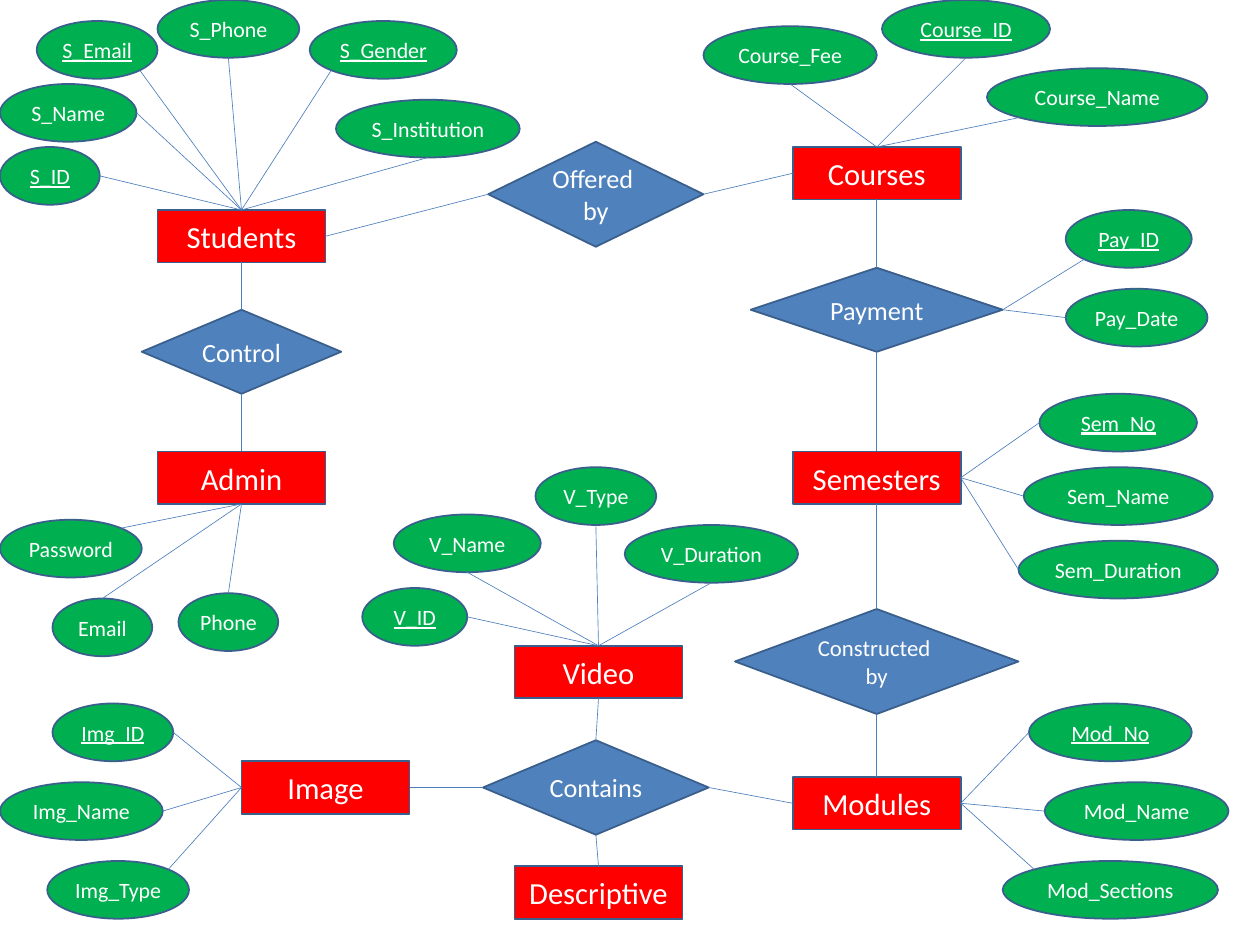
"""Draw an entity-relationship diagram of a course system on a 240 by 180 grid."""
from dataclasses import dataclass
from math import sqrt

from lxml import etree
from pptx import Presentation, util as u
from pptx.dml.color import RGBColor
from pptx.enum import shapes, text
from pptx.oxml.ns import qn


@dataclass(frozen=True)
class Theme:
    """Colours, type sizes and widths of the diagram."""
    font: str = "Calibri"
    ink: str = "FFFFFF"
    edge: str = "3A5F8C"
    link: str = "4B7EBC"
    table: str = "FF0000"
    bond: str = "4F81BD"
    trait: str = "00B050"
    big: int = 35
    mid: int = 30
    snug: int = 26
    small: int = 25
    rim: float = 2
    thin: float = 0.75


THEME = Theme()
KIND = shapes.MSO_SHAPE
CELL = u.Inches(20) // 240
SIDES = "tlbr"
STEPS = {"t": (0, -1), "l": (-1, 0), "b": (0, 1), "r": (1, 0)}
WIDE = {"margin_left": u.Inches(0.16), "margin_right": u.Inches(0.16),
        "margin_top": u.Inches(0.08), "margin_bottom": u.Inches(0.08)}

TABLES = {
    "Students": (30, 40), "Courses": (151, 28), "Admin": (30, 86),
    "Semesters": (151, 86), "Video": (98, 123), "Image": (46, 145),
    "Modules": (151, 148), "Descriptive": (98, 165),
}
BONDS = {
    "Offered \nby": (93, 27, 41, 20, THEME.mid),
    "Payment": (143, 51, 48, 16, THEME.mid),
    "Control": (27, 59, 38, 16, THEME.mid),
    "Constructed \nby": (140, 116, 54, 20, THEME.snug),
    "Contains": (92, 141, 43, 18, THEME.mid),
}
LINKS = [
    ("Students", "r", "Offered \nby", "l"), ("Offered \nby", "r", "Courses", "l"),
    ("Students", "b", "Control", "t"), ("Control", "b", "Admin", "t"),
    ("Courses", "b", "Payment", "t"), ("Payment", "b", "Semesters", "t"),
    ("Semesters", "b", "Constructed \nby", "t"),
    ("Constructed \nby", "b", "Modules", "t"),
    ("Modules", "l", "Contains", "r"), ("Contains", "t", "Video", "b"),
    ("Contains", "l", "Image", "r"), ("Contains", "b", "Descriptive", "t"),
]
KEYS = {"S_ID", "S_Email", "S_Gender", "Course_ID", "Pay_ID", "Sem_No",
        "Mod_No", "V_ID", "Img_ID"}
TRAITS = {
    ("Students", "t"): [
        ("S_ID", 0, 28, 19, "r"), ("S_Name", 0, 16, 26, "r"),
        ("S_Email", 7, 4, 23, "br"), ("S_Phone", 30, 0, 27, "b"),
        ("S_Gender", 59, 4, 28, "bl"), ("S_Institution", 64, 19, 35, "b")],
    ("Courses", "t"): [
        ("Course_Fee", 134, 5, 33, "b"), ("Course_ID", 168, 0, 32, "b"),
        ("Course_Name", 188, 13, 42, "bl")],
    ("Payment", "r"): [
        ("Pay_ID", 203, 40, 24, "bl"), ("Pay_Date", 203, 55, 27, "l")],
    ("Semesters", "r"): [
        ("Sem_No", 198, 75, 30, "l"), ("Sem_Name", 195, 89, 36, "l"),
        ("Sem_Duration", 194, 103, 38, "l")],
    ("Modules", "r"): [
        ("Mod_No", 196, 134, 31, "l"), ("Mod_Name", 199, 149, 35, "l"),
        ("Mod_Sections", 191, 164, 41, "tl")],
    ("Video", "t"): [
        ("V_ID", 69, 112, 20, "r"), ("V_Name", 75, 98, 28, "b"),
        ("V_Type", 102, 89, 23, "b"), ("V_Duration", 119, 100, 33, "b")],
    ("Image", "l"): [
        ("Img_ID", 10, 134, 23, "r"), ("Img_Name", 0, 149, 31, "r"),
        ("Img_Type", 9, 164, 27, "tr")],
    ("Admin", "b"): [
        ("Password", 0, 99, 27, "tr"), ("Email", 10, 114, 19, "t"),
        ("Phone", 34, 113, 19, "t")],
}


def put(item, values):
    """Set each named value on an item."""
    for name, value in values.items():
        setattr(item, name, value)


def stroke(line, tone, width):
    """Colour and size a line."""
    line.color.rgb = RGBColor.from_string(tone)
    line.width = u.Pt(width)


def node(slide, kind, box, label, fill, size, frame=None, key=False):
    """Add a labelled shape to a grid box."""
    shape = slide.shapes.add_shape(kind, *(CELL * n for n in box))
    shape.shadow.inherit = False
    shape.fill.solid()
    shape.fill.fore_color.rgb = RGBColor.from_string(fill)
    stroke(shape.line, THEME.edge, THEME.rim)
    body = shape.text_frame
    put(body, {"text": label, "word_wrap": True,
               "vertical_anchor": text.MSO_ANCHOR.MIDDLE, **(frame or {})})
    for para in body.paragraphs:
        para.alignment = text.PP_ALIGN.CENTER
        for run in para.runs:
            put(run.font, {"name": THEME.font, "size": u.Pt(size)})
            run.font.color.rgb = RGBColor.from_string(THEME.ink)
            if key:
                run.font.underline = True
    return shape


def wire(slide, owner, side, end=(0, 0)):
    """Add a line from a side of its owner to a point."""
    line = slide.shapes.add_connector(shapes.MSO_CONNECTOR.STRAIGHT, 0, 0, *end)
    line.begin_connect(owner, SIDES.index(side))
    stroke(line.line, THEME.link, THEME.thin)
    etree.SubElement(line._element.spPr, qn("a:effectLst"))
    return line


def rim(oval, site):
    """Find the point of an oval that faces a side or corner."""
    across, down = (sum(axis) for axis in zip(*(STEPS[s] for s in site)))
    reach = 2 * sqrt(len(site))
    return (round(oval.left + oval.width / 2 + across * oval.width / reach),
            round(oval.top + oval.height / 2 + down * oval.height / reach))


def main():
    """Build and save the diagram."""
    deck = Presentation()
    put(deck, {"slide_width": CELL * 240, "slide_height": CELL * 180})
    slide = deck.slides.add_slide(deck.slide_layouts[6])
    nodes = {}
    for name, spot in TABLES.items():
        nodes[name] = node(slide, KIND.RECTANGLE, (*spot, 32, 10), name,
                           THEME.table, THEME.big, WIDE)
    for name, (*box, size) in BONDS.items():
        nodes[name] = node(slide, KIND.FLOWCHART_DECISION, box, name,
                           THEME.bond, size, WIDE)
    for start, side, end, face in LINKS:
        wire(slide, nodes[start], side).end_connect(nodes[end], SIDES.index(face))
    for (owner, side), traits in TRAITS.items():
        for name, left, top, width, site in traits:
            oval = node(slide, KIND.OVAL, (left, top, width, 11), name,
                        THEME.trait, THEME.small, key=name in KEYS)
            wire(slide, nodes[owner], side, rim(oval, site))
    deck.save("out.pptx")


main()
